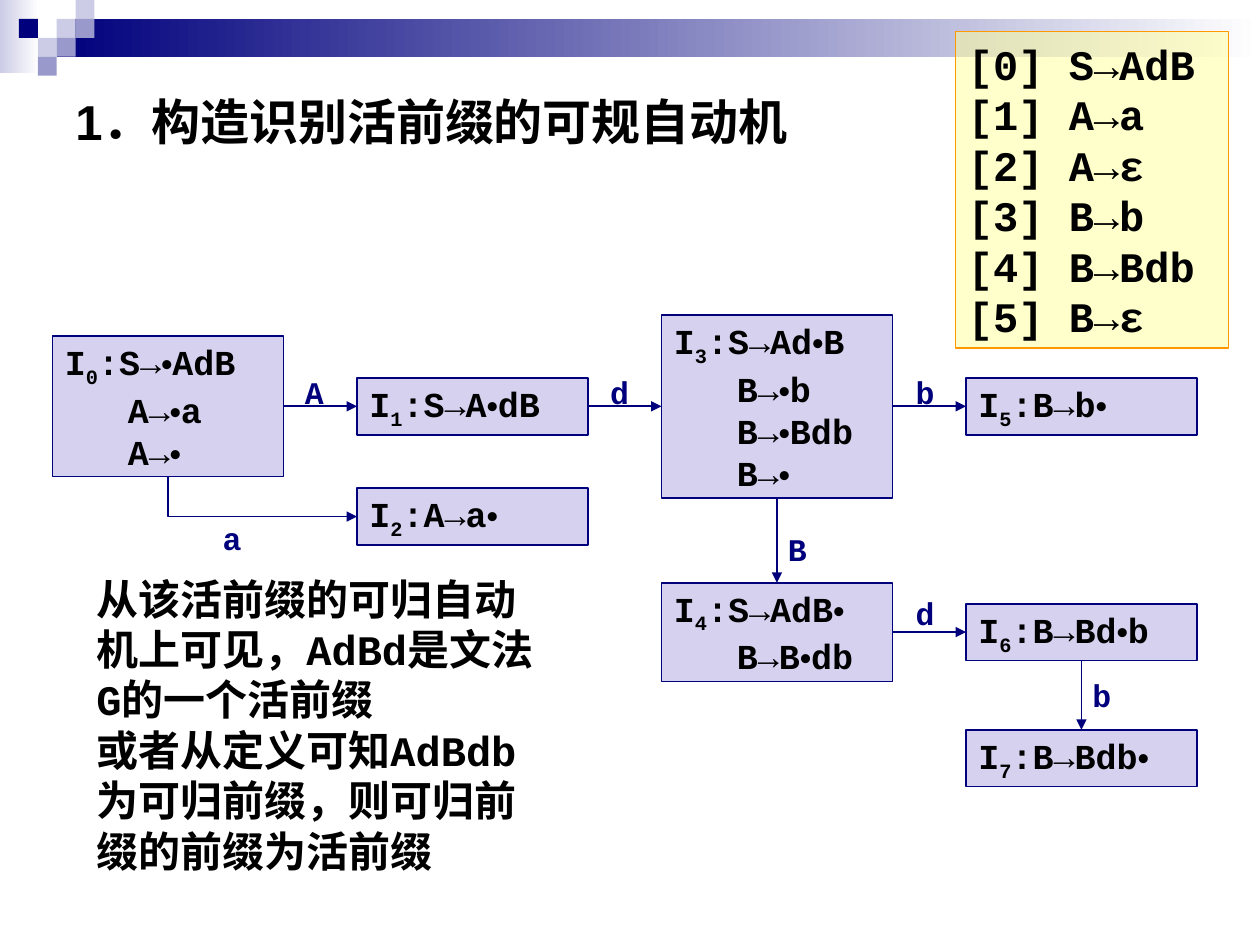
from dataclasses import dataclass
from itertools import groupby

from lxml import etree
from pptx import Presentation
from pptx.dml.color import RGBColor
from pptx.enum.shapes import MSO_CONNECTOR, MSO_SHAPE
from pptx.enum.text import MSO_ANCHOR, MSO_AUTO_SIZE, PP_ALIGN
from pptx.oxml.ns import qn
from pptx.util import Pt

RECT = MSO_SHAPE.RECTANGLE
LINE = MSO_CONNECTOR.STRAIGHT
ELBOW = MSO_CONNECTOR.ELBOW
MIDDLE = MSO_ANCHOR.MIDDLE
GROW = MSO_AUTO_SIZE.SHAPE_TO_FIT_TEXT
CENTER = PP_ALIGN.CENTER
TOP, LEFT, BOTTOM, RIGHT = range(4)


@dataclass(frozen=True)
class Theme:
    navy: str = "00007D"
    mid: str = "9999CC"
    pale: str = "CCCCE6"
    white: str = "FFFFFF"
    black: str = "000000"
    state: str = "ADA4E0"
    note: str = "FFFF99"
    edge: str = "FF9900"
    sans: str = "Arial"
    mono: str = "Courier New"
    title: int = 28
    body: int = 24
    item: int = 20
    small: int = 18


THEME = Theme()
UNIT = 10.8
COL, STEP, WIDE = 30, 174, 132
ROW = 232.2

STATES = [
    (0, ROW, 80.4, ["S→•AdB", "A→•a", "A→•"]),
    (1, ROW, 32.4, ["S→A•dB"]),
    (1, 295.2, 32.4, ["A→a•"]),
    (2, ROW, 104.4, ["S→Ad•B", "B→•b", "B→•Bdb", "B→•"]),
    (2, 361.2, 56.4, ["S→AdB•", "B→B•db"]),
    (3, ROW, 32.4, ["B→b•"]),
    (3, 361.2, 32.4, ["B→Bd•b"]),
    (3, 433.2, 32.4, ["B→Bdb•"]),
]
MOVES = [
    (0, RIGHT, 1, LEFT, "A", 167, 209.5),
    (1, RIGHT, 3, LEFT, "d", 341.5, 209.5),
    (3, RIGHT, 5, LEFT, "b", 516, 209.5),
    (0, BOTTOM, 2, LEFT, "a", 120, 293),
    (3, BOTTOM, 4, TOP, "B", 443, 299.5),
    (4, RIGHT, 6, LEFT, "d", 516, 336),
    (6, BOTTOM, 7, TOP, "b", 617, 383),
]
RULES = ["[0] S→AdB", "[1] A→a", "[2] A→ε", "[3] B→b", "[4] B→Bdb", "[5] B→ε"]
NOTES = [
    "从该活前缀的可归自动机上可见，AdBd是文法G的一个活前缀",
    "或者从定义可知AdBdb为可归前缀，则可归前缀的前缀为活前缀",
]
TILES = [
    (3, 1, THEME.pale), (4, 0, THEME.pale), (4, 1, THEME.mid),
    (2, 2, THEME.pale), (1, 1, THEME.navy), (3, 2, THEME.mid),
    (2, 3, THEME.mid),
]


def rgb(code):
    return RGBColor.from_string(code)


def style(para, size, font=THEME.mono, color=THEME.black):
    para.font.name = font
    para.font.size = Pt(size)
    para.font.bold = True
    para.font.color.rgb = rgb(color)


def add_rect(slide, x, y, w, h, color):
    rect = slide.shapes.add_shape(RECT, Pt(x), Pt(y), Pt(w), Pt(h))
    rect.shadow.inherit = False
    rect.line.fill.background()
    rect.fill.solid()
    rect.fill.fore_color.rgb = rgb(color)
    return rect


def add_fade(slide, x, y, w, h, color):
    fill = add_rect(slide, x, y, w, h, color).fill
    fill.gradient()
    fill.gradient_angle = 0
    for stop, code in zip(fill.gradient_stops, (color, THEME.white)):
        stop.color.rgb = rgb(code)


def add_panel(slide, x, y, w, h, color, edge):
    panel = add_rect(slide, x, y, w, h, color)
    shade = panel.fill._xPr.find(qn("a:solidFill"))[0]
    etree.SubElement(shade, qn("a:alpha")).set("val", "50000")
    panel.line.color.rgb = rgb(edge)
    panel.line.width = Pt(1)
    frame = panel.text_frame
    frame.word_wrap = True
    frame.vertical_anchor = MIDDLE
    frame.auto_size = GROW
    return panel


def write(frame, lines, size, **look):
    for i, line in enumerate(lines):
        para = frame.add_paragraph() if i else frame.paragraphs[0]
        para.text = line
        para.alignment = PP_ALIGN.LEFT
        style(para, size, **look)


def add_text(slide, x, y, w, h, lines, size, **look):
    box = slide.shapes.add_textbox(Pt(x), Pt(y), Pt(w), Pt(h))
    box.text_frame.word_wrap = True
    write(box.text_frame, lines, size, **look)
    return box.text_frame


def add_runs(para, text):
    for dot, chars in groupby(text, lambda c: c == "•"):
        run = para.add_run()
        run.text = "".join(chars)
        if dot:
            run.font.name = THEME.sans
            run.font.size = Pt(THEME.small)


def add_state(slide, num, col, mid, high, items):
    x = COL + col * STEP
    box = add_panel(slide, x, mid - high / 2, WIDE, high, THEME.state, THEME.navy)
    frame = box.text_frame
    for i, item in enumerate(items):
        para = frame.add_paragraph() if i else frame.paragraphs[0]
        para.alignment = PP_ALIGN.LEFT
        if i:
            para._p.get_or_add_pPr().set("marL", str(Pt(36)))
            add_runs(para, item)
        else:
            add_runs(para, "I")
            sub = para.add_run()
            sub.text = str(num)
            sub.font._element.set("baseline", "-25000")
            add_runs(para, ":" + item)
        style(para, THEME.item)
    return box


def bend(arrow):
    x, y, w, h = arrow.left, arrow.top, arrow.width, arrow.height
    arrow.left, arrow.top = x + (w - h) // 2, y + (h - w) // 2
    arrow.width, arrow.height = h, w
    props = arrow._element.spPr
    props.find(qn("a:prstGeom")).set("prst", "bentConnector2")
    frame = props.find(qn("a:xfrm"))
    frame.set("rot", "16200000")
    frame.set("flipH", "1")


def add_arrow(slide, start, out, end, into):
    kind = ELBOW if out == BOTTOM and into == LEFT else LINE
    arrow = slide.shapes.add_connector(kind, 0, 0, 0, 0)
    arrow.begin_connect(start, out)
    arrow.end_connect(end, into)
    arrow.line.color.rgb = rgb(THEME.navy)
    arrow.line.width = Pt(1)
    tip = etree.SubElement(arrow.line._get_or_add_ln(), qn("a:tailEnd"))
    tip.set("type", "triangle")
    etree.SubElement(arrow._element.spPr, qn("a:effectLst"))
    if kind == ELBOW:
        bend(arrow)


def add_label(slide, x, y, text):
    frame = add_text(slide, x, y, 25.2, 28.8, [text], THEME.small, color=THEME.navy)
    frame.word_wrap = False
    frame.auto_size = GROW
    frame.paragraphs[0].alignment = CENTER


def main():
    deck = Presentation()
    deck.slide_width, deck.slide_height = Pt(720), Pt(540)
    slide = deck.slides.add_slide(deck.slide_layouts[6])
    add_fade(slide, 0, 0, 22.3, 41.8, THEME.pale)
    add_fade(slide, 3 * UNIT, UNIT, 720 - 3 * UNIT, 2 * UNIT, THEME.navy)
    for col, row, color in TILES:
        add_rect(slide, col * UNIT, row * UNIT, UNIT, UNIT, color)
    title = add_text(slide, 36, 36, 648, 66, ["1．构造识别活前缀的可规自动机"],
                     THEME.title, font=THEME.sans)
    title.vertical_anchor = MIDDLE
    rules = add_panel(slide, 546, 18, 156, 180.7, THEME.note, THEME.edge)
    write(rules.text_frame, RULES, THEME.body)
    boxes = [add_state(slide, i, *state) for i, state in enumerate(STATES)]
    for start, out, end, into, text, x, y in MOVES:
        add_arrow(slide, boxes[start], out, boxes[end], into)
        add_label(slide, x, y, text)
    notes = add_text(slide, 48, 324, 276, 180, NOTES, THEME.body)
    notes.auto_size = GROW
    deck.save("out.pptx")


if __name__ == "__main__":
    main()
